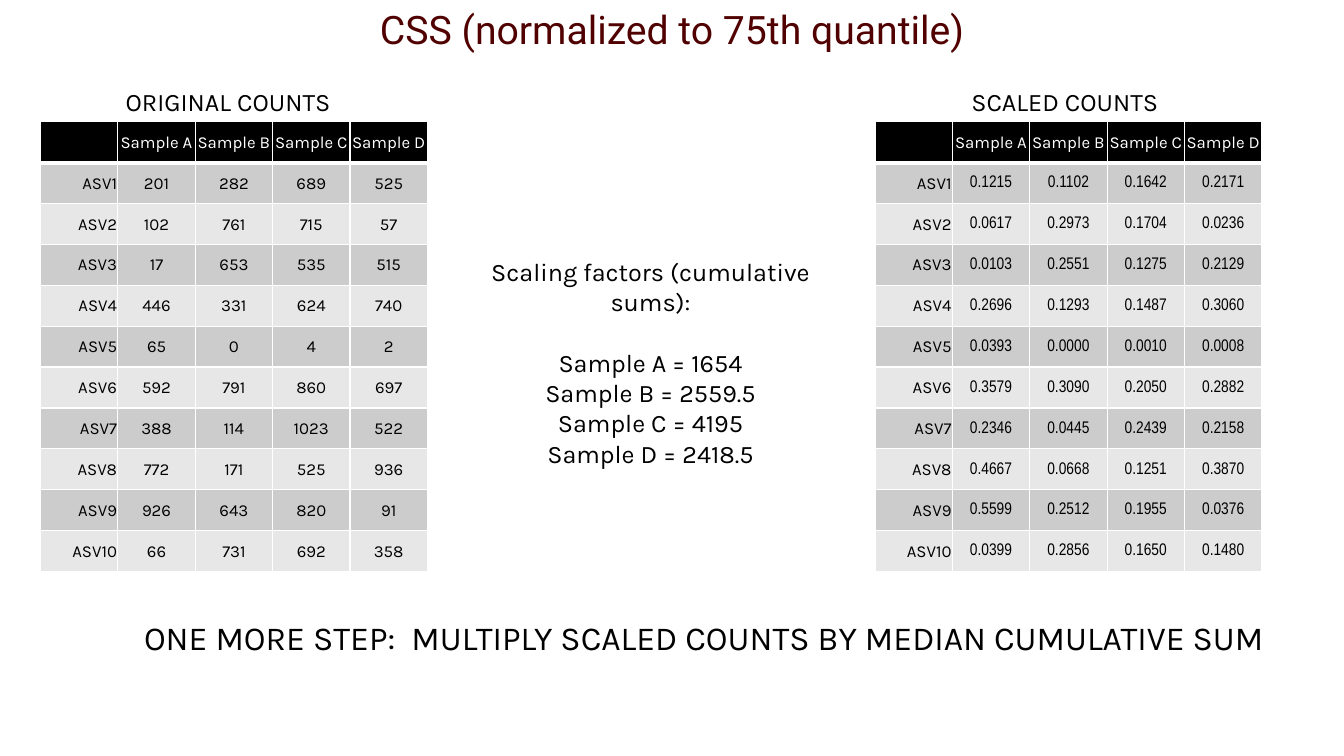
from lxml import etree
from pptx import Presentation
from pptx.dml.color import RGBColor
from pptx.enum.text import MSO_ANCHOR, MSO_AUTO_SIZE, PP_ALIGN
from pptx.oxml.ns import qn
from pptx.util import Cm, Pt

LEFT, CENTER, RIGHT = PP_ALIGN.LEFT, PP_ALIGN.CENTER, PP_ALIGN.RIGHT
TOP, MIDDLE = MSO_ANCHOR.TOP, MSO_ANCHOR.MIDDLE
NO_AUTOFIT = MSO_AUTO_SIZE.NONE

COLORS = {
    "title": "500000",
    "text": "000000",
    "header": "000000",
    "header_text": "FFFFFF",
    "border": "FFFFFF",
    "odd_row": "CCCCCC",
    "even_row": "E7E7E7",
}
BODY_FONT, TITLE_FONT, NUMBER_FONT = "Karla", "Roboto", "Arial Narrow"

SCALING_FACTORS = {"Sample A": 1654, "Sample B": 2559.5,
                   "Sample C": 4195, "Sample D": 2418.5}
COUNTS = [
    [201, 282, 689, 525],
    [102, 761, 715, 57],
    [17, 653, 535, 515],
    [446, 331, 624, 740],
    [65, 0, 4, 2],
    [592, 791, 860, 697],
    [388, 114, 1023, 522],
    [772, 171, 525, 936],
    [926, 643, 820, 91],
    [66, 731, 692, 358],
]


def write_text(paragraph, text, size=18, font=BODY_FONT, color="text",
               align=LEFT, space_before=0):
    paragraph.alignment = align
    paragraph.space_before = Pt(space_before)
    run = paragraph.add_run()
    run.text = text
    run.font.name = font
    run.font.size = Pt(size)
    run.font.bold = False
    run.font.color.rgb = RGBColor.from_string(COLORS[color])


def add_cell_borders(cell, bottom_width):
    """Draw all four borders; call before filling, as the lines come first in tcPr."""
    properties = cell._tc.get_or_add_tcPr()
    for side, width in (("L", 1), ("R", 1), ("T", 1), ("B", bottom_width)):
        line = etree.SubElement(properties, qn(f"a:ln{side}"), w=str(Pt(width)))
        fill = etree.SubElement(line, qn("a:solidFill"))
        etree.SubElement(fill, qn("a:srgbClr"), val=COLORS["border"])


def remove_bullet(paragraph):
    properties = paragraph._p.get_or_add_pPr()
    properties.set("marL", "0")
    properties.set("indent", "0")
    etree.SubElement(properties, qn("a:buNone"))


class SlideBuilder:
    COLUMN_WIDTH, ROW_HEIGHT = 1.95, 1.03
    TABLE_TEXT_SIZE = 12
    CELL_MARGIN = Cm(0.02)

    def __init__(self, slide):
        self.slide = slide

    def place(self, shape, left, top, width, height, anchor):
        shape.left, shape.top = Cm(left), Cm(top)
        shape.width, shape.height = Cm(width), Cm(height)
        frame = shape.text_frame
        frame.auto_size = NO_AUTOFIT
        frame.word_wrap = True
        frame.vertical_anchor = anchor
        return frame

    def title(self, text, *box):
        frame = self.place(self.slide.shapes.title, *box, MIDDLE)
        write_text(frame.paragraphs[0], text, size=28, font=TITLE_FONT,
                   color="title", align=CENTER)

    def body(self, heading, items, *box):
        """Fill the body placeholder with a heading, a one-line gap and the items."""
        frame = self.place(self.slide.placeholders[1], *box, TOP)
        write_text(frame.paragraphs[0], heading, align=CENTER)
        for index, item in enumerate(items):
            write_text(frame.add_paragraph(), item, align=CENTER,
                       space_before=0 if index else 22)
        for paragraph in frame.paragraphs:
            remove_bullet(paragraph)

    def label(self, text, left, top, width, height, **text_format):
        shape = self.slide.shapes.add_textbox(
            Cm(left), Cm(top), Cm(width), Cm(height))
        shape.text_frame.word_wrap = False
        write_text(shape.text_frame.paragraphs[0], text, **text_format)

    def cell(self, cell, text, fill, bottom_width=1, **text_format):
        add_cell_borders(cell, bottom_width)
        cell.fill.solid()
        cell.fill.fore_color.rgb = RGBColor.from_string(COLORS[fill])
        cell.vertical_anchor = MIDDLE
        cell.margin_left = cell.margin_right = cell.margin_top = self.CELL_MARGIN
        cell.margin_bottom = 0
        if text:
            write_text(cell.text_frame.paragraphs[0], text,
                       size=self.TABLE_TEXT_SIZE, **text_format)

    def table(self, rows, left, top, number_font=BODY_FONT):
        headers = ["", *SCALING_FACTORS]
        row_count, column_count = len(rows) + 1, len(headers)
        table = self.slide.shapes.add_table(
            row_count, column_count, Cm(left), Cm(top),
            Cm(self.COLUMN_WIDTH * column_count),
            Cm(self.ROW_HEIGHT * row_count)).table
        for column, header in enumerate(headers):
            self.cell(table.cell(0, column), header, "header", bottom_width=3,
                      color="header_text", align=CENTER)
        for number, values in enumerate(rows, start=1):
            fill = "odd_row" if number % 2 else "even_row"
            self.cell(table.cell(number, 0), f"ASV{number}", fill, align=RIGHT)
            for column, value in enumerate(values, start=1):
                self.cell(table.cell(number, column), value, fill,
                          font=number_font, align=CENTER)


def main():
    presentation = Presentation()
    presentation.slide_width, presentation.slide_height = Cm(33.87), Cm(19.05)
    slide = presentation.slides.add_slide(presentation.slide_layouts[1])
    builder = SlideBuilder(slide)

    count_rows = [[str(count) for count in row] for row in COUNTS]
    scaled_rows = [[f"{count / factor:.4f}"
                    for count, factor in zip(row, SCALING_FACTORS.values())]
                   for row in COUNTS]

    builder.title("CSS (normalized to 75th quantile)", 0, 0, 33.87, 1.45)
    builder.table(count_rows, 1.02, 3.07)
    builder.label("ORIGINAL COUNTS", 2.92, 2.06, 5.89, 1.02)
    builder.body("Scaling factors (cumulative sums):",
                 [f"{sample} = {factor}" for sample, factor in SCALING_FACTORS.items()],
                 11.38, 6.32, 10.03, 4.88)
    builder.table(scaled_rows, 22.05, 3.07, number_font=NUMBER_FONT)
    builder.label("SCALED COUNTS", 24.23, 2.06, 5.41, 1.02)
    builder.label("ONE MORE STEP:  MULTIPLY SCALED COUNTS BY MEDIAN CUMULATIVE SUM",
                  3.38, 15.42, 29.08, 1.27, size=24)
    presentation.save("out.pptx")


if __name__ == "__main__":
    main()
